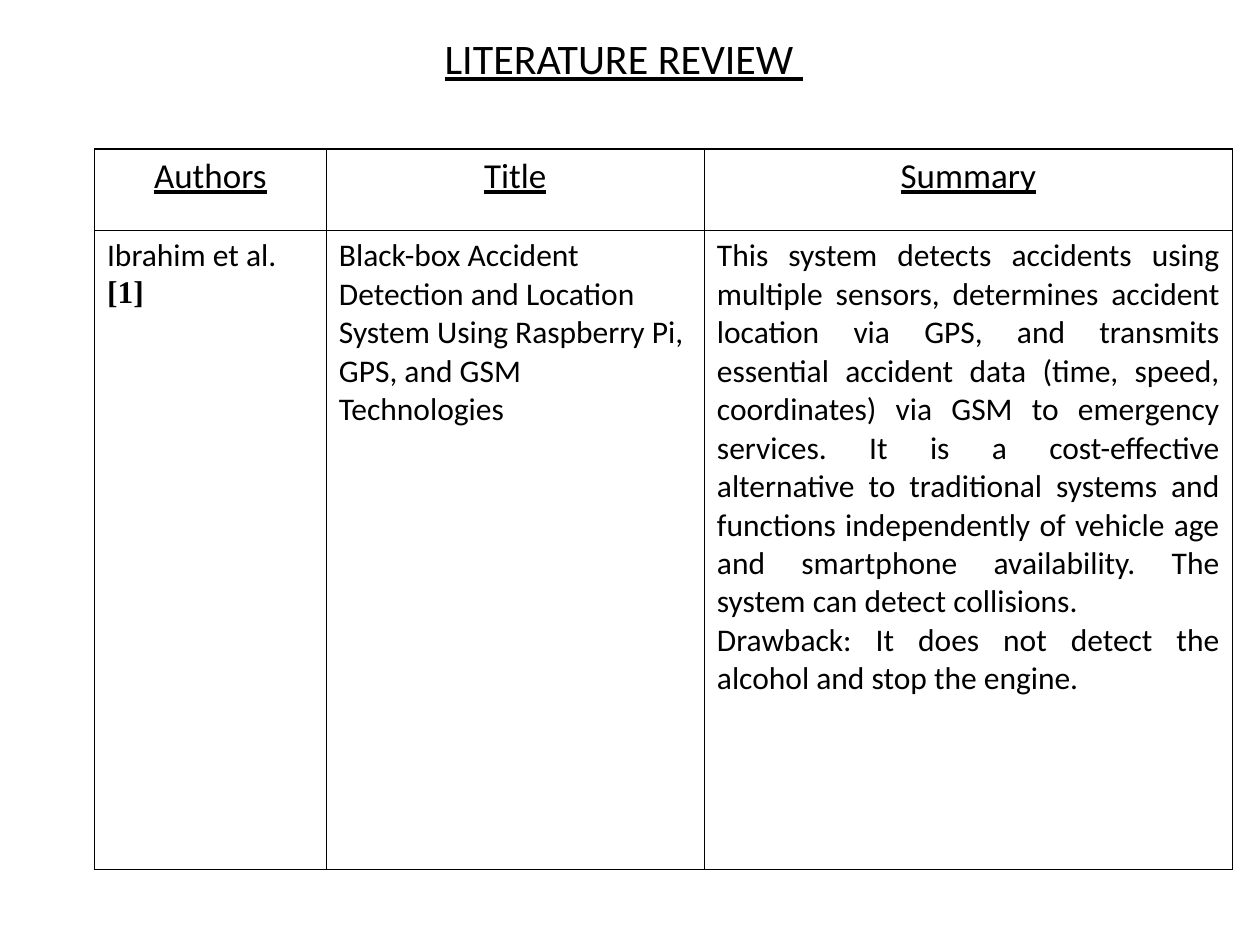
from dataclasses import dataclass

from lxml import etree
from pptx import Presentation
from pptx.dml.color import RGBColor
from pptx.enum import text
from pptx.oxml import ns
from pptx.util import Pt

BLACK = "000000"
WHITE = "FFFFFF"
LEFT, CENTER, JUSTIFY = text.PP_ALIGN.LEFT, text.PP_ALIGN.CENTER, text.PP_ALIGN.JUSTIFY


@dataclass
class Line:
    content: str
    size: float = 18
    alignment: text.PP_ALIGN = LEFT
    font: str = "Calibri"
    bold: bool = False
    underline: bool = False


@dataclass
class Column:
    heading: str
    width: float
    lines: list[Line]


COLUMNS = [
    Column("Authors", 132.5, [
        Line("Ibrahim et al."),
        Line("[1]", font="Times New Roman", bold=True),
    ]),
    Column("Title", 216, [
        Line("Black-box Accident Detection and Location System Using "
             "Raspberry Pi, GPS, and GSM Technologies"),
    ]),
    Column("Summary", 301.7, [
        Line("This system detects accidents using multiple sensors, determines "
             "accident location via GPS, and transmits essential accident data "
             "(time, speed, coordinates) via GSM to emergency services. It is a "
             "cost-effective alternative to traditional systems and functions "
             "independently of vehicle age and smartphone availability. The "
             "system can detect collisions.", alignment=JUSTIFY),
        Line("Drawback: It does not detect the alcohol and stop the engine.",
             alignment=JUSTIFY),
    ]),
]
ROW_HEIGHTS = [46.8, 365]


def color(value: str) -> RGBColor:
    return RGBColor.from_string(value)


def write_lines(frame, lines: list[Line]) -> None:
    for index, line in enumerate(lines):
        paragraph = frame.add_paragraph() if index else frame.paragraphs[0]
        paragraph.alignment = line.alignment
        paragraph.add_run().text = line.content
        font = paragraph.font
        font.name = line.font
        font.size = Pt(line.size)
        font.bold = line.bold
        font.underline = line.underline
        font.color.rgb = color(BLACK)


def add_borders(cell, width: float) -> None:
    properties = cell._tc.get_or_add_tcPr()
    for side in ("a:lnL", "a:lnR", "a:lnT", "a:lnB"):
        border = etree.SubElement(properties, ns.qn(side), w=str(Pt(width)))
        fill = etree.SubElement(border, ns.qn("a:solidFill"))
        etree.SubElement(fill, ns.qn("a:srgbClr"), val=BLACK)


def fill_cell(cell, lines: list[Line]) -> None:
    add_borders(cell, 1)
    cell.fill.solid()
    cell.fill.fore_color.rgb = color(WHITE)
    write_lines(cell.text_frame, lines)


def add_review_table(slide, left: float, top: float) -> None:
    width = sum(column.width for column in COLUMNS)
    table = slide.shapes.add_table(
        len(ROW_HEIGHTS), len(COLUMNS),
        Pt(left), Pt(top), Pt(width), Pt(sum(ROW_HEIGHTS))).table
    for row, height in zip(table.rows, ROW_HEIGHTS):
        row.height = Pt(height)
    for index, column in enumerate(COLUMNS):
        table.columns[index].width = Pt(column.width)
        heading = Line(column.heading, 20, CENTER, underline=True)
        fill_cell(table.cell(0, index), [heading])
        fill_cell(table.cell(1, index), column.lines)


def add_title(slide) -> None:
    frame = slide.shapes.add_textbox(Pt(247), Pt(15), Pt(374.4), Pt(36)).text_frame
    frame.word_wrap = True
    frame.auto_size = text.MSO_AUTO_SIZE.SHAPE_TO_FIT_TEXT
    write_lines(frame, [Line("LITERATURE REVIEW ", 24, underline=True)])


def main() -> None:
    presentation = Presentation()
    presentation.slide_width = Pt(720)
    presentation.slide_height = Pt(540)
    slide = presentation.slides.add_slide(presentation.slide_layouts[6])
    add_review_table(slide, 54, 85)
    add_title(slide)
    presentation.save("out.pptx")


if __name__ == "__main__":
    main()
